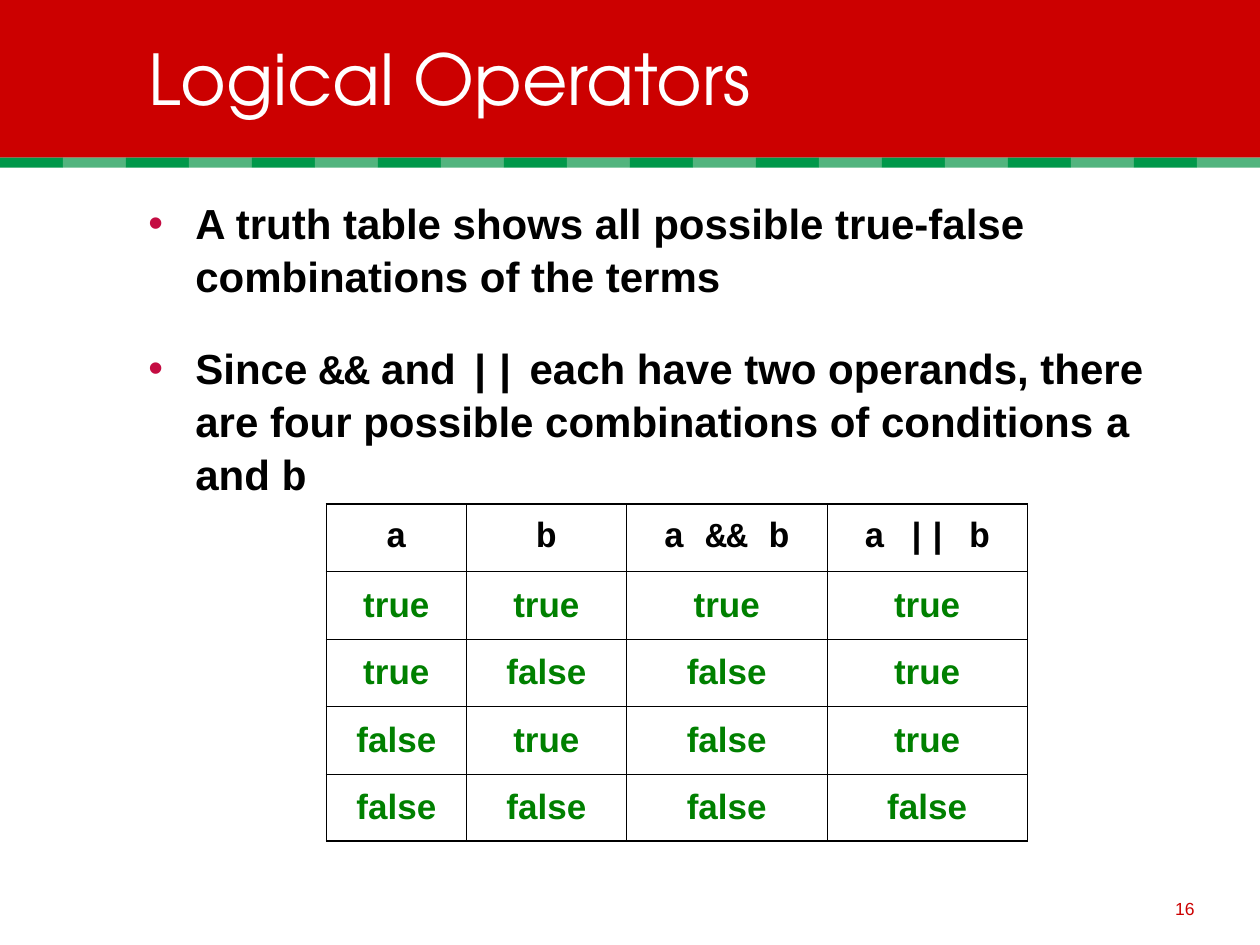
import dataclasses

import lxml.etree
import pptx
import pptx.dml.color
import pptx.enum.shapes
import pptx.enum.text
import pptx.oxml.ns
import pptx.util

Cm = pptx.util.Cm
Pt = pptx.util.Pt
Align = pptx.enum.text.PP_ALIGN
Anchor = pptx.enum.text.MSO_ANCHOR


@dataclasses.dataclass(frozen=True)
class Theme:
    banner: str = "CC0000"
    stripes: tuple = ("00984A", "52B47E")
    heading: str = "FFFFFF"
    ink: str = "000000"
    value: str = "008000"
    bullet: str = "C40C42"
    heading_font: str = "TeX Gyre Adventor"
    font: str = "Arial"
    code_font: str = "Courier New"
    heading_size: int = 40
    body_size: int = 24
    table_size: int = 20
    number_size: int = 10
    thick: float = 1.08
    thin: float = 0.45


THEME = Theme()

POINTS = [
    [("A truth table shows all possible true-false combinations of the terms", THEME.font)],
    [
        ("Since ", THEME.font),
        ("&&", THEME.code_font),
        (" and ", THEME.font),
        ("||", THEME.code_font),
        (" each have two operands, there are four possible combinations of conditions ", THEME.font),
        ("a", THEME.code_font),
        (" and ", THEME.font),
        ("b", THEME.code_font),
    ],
]

TRUTH_TABLE = [
    ["a", "b", "a && b", "a || b"],
    ["true", "true", "true", "true"],
    ["true", "false", "false", "true"],
    ["false", "true", "false", "true"],
    ["false", "false", "false", "false"],
]
COLUMN_WIDTHS = [2.82, 3.23, 4.04, 4.04]
ROW_HEIGHT = 1.36
VERTICAL_RULES = [THEME.thick, THEME.thin, THEME.thick, THEME.thin, THEME.thick]
HORIZONTAL_RULES = [THEME.thick, THEME.thick, THEME.thin, THEME.thin, THEME.thin, THEME.thick]


def rgb(color):
    return pptx.dml.color.RGBColor.from_string(color)


def add_xml(parent, tag, **attributes):
    return lxml.etree.SubElement(parent, pptx.oxml.ns.qn(tag), **attributes)


def write(paragraph, text, *, size, color, font=THEME.font, bold=False, align=Align.LEFT):
    paragraph.alignment = align
    run = paragraph.add_run()
    run.text = text
    run.font.name = font
    run.font.size = Pt(size)
    run.font.bold = bold
    run.font.color.rgb = rgb(color)


def add_frame(slide, left, top, width, height, anchor=Anchor.TOP):
    frame = slide.shapes.add_textbox(Cm(left), Cm(top), Cm(width), Cm(height)).text_frame
    frame.word_wrap = True
    frame.vertical_anchor = anchor
    return frame


def add_block(slide, left, top, width, height, color):
    block = slide.shapes.add_shape(
        pptx.enum.shapes.MSO_SHAPE.RECTANGLE, Cm(left), Cm(top), Cm(width), Cm(height)
    )
    block.shadow.inherit = False
    block.fill.solid()
    block.fill.fore_color.rgb = rgb(color)
    block.line.fill.background()


def add_banner(slide):
    add_block(slide, 0, 0, 25.4, 3.18, THEME.banner)
    stripe_width = 1.27
    for index in range(20):
        add_block(slide, index * stripe_width, 3.18, stripe_width, 0.2, THEME.stripes[index % 2])


def add_title(slide, text):
    title = slide.shapes.title
    title.left, title.top, title.width, title.height = Cm(2.74), Cm(0.61), Cm(22.02), Cm(1.91)
    frame = title.text_frame
    frame.auto_size = pptx.enum.text.MSO_AUTO_SIZE.NONE
    frame.vertical_anchor = Anchor.MIDDLE
    write(frame.paragraphs[0], text, size=THEME.heading_size, color=THEME.heading,
          font=THEME.heading_font)
    slide.shapes._spTree.append(title._element)


def set_bullet(paragraph):
    properties = paragraph._p.get_or_add_pPr()
    properties.set("marL", str(Cm(0.95)))
    properties.set("indent", str(-Cm(0.95)))
    add_xml(add_xml(properties, "a:buClr"), "a:srgbClr", val=THEME.bullet)
    add_xml(properties, "a:buFont", typeface=THEME.font)
    add_xml(properties, "a:buChar", char="•")


def add_points(slide, points):
    frame = add_frame(slide, 2.74, 3.81, 22.02, 6.35)
    for index, phrases in enumerate(points):
        paragraph = frame.add_paragraph() if index else frame.paragraphs[0]
        paragraph.space_before = Pt(22.5)
        paragraph.line_spacing = 1.05
        set_bullet(paragraph)
        for text, font in phrases:
            write(paragraph, text, size=THEME.body_size, color=THEME.ink, font=font, bold=True)


def set_borders(cell, row, column):
    widths = {
        "a:lnL": VERTICAL_RULES[column],
        "a:lnR": VERTICAL_RULES[column + 1],
        "a:lnT": HORIZONTAL_RULES[row],
        "a:lnB": HORIZONTAL_RULES[row + 1],
    }
    properties = cell._tc.get_or_add_tcPr()
    for tag, width in widths.items():
        border = add_xml(properties, tag, w=str(Pt(width)))
        add_xml(add_xml(border, "a:solidFill"), "a:srgbClr", val=THEME.ink)


def add_truth_table(slide, rows):
    table = slide.shapes.add_table(
        len(rows), len(COLUMN_WIDTHS), Cm(6.58), Cm(10.16),
        Cm(sum(COLUMN_WIDTHS)), Cm(ROW_HEIGHT * len(rows)),
    ).table
    table.first_row = False
    table.horz_banding = False
    for column, width in zip(table.columns, COLUMN_WIDTHS):
        column.width = Cm(width)
    for row, texts in enumerate(rows):
        table.rows[row].height = Cm(ROW_HEIGHT)
        header = row == 0
        for column, text in enumerate(texts):
            cell = table.cell(row, column)
            cell.vertical_anchor = Anchor.MIDDLE
            set_borders(cell, row, column)
            cell.fill.background()
            paragraph = cell.text_frame.paragraphs[0]
            paragraph.space_before = Pt(5)
            write(paragraph, text, size=THEME.table_size, bold=True, align=Align.CENTER,
                  color=THEME.ink if header else THEME.value,
                  font=THEME.code_font if header else THEME.font)


def add_slide_number(slide, number):
    frame = add_frame(slide, 19.05, 17.58, 5.28, 1.07, Anchor.BOTTOM)
    write(frame.paragraphs[0], number, size=THEME.number_size, color=THEME.banner,
          align=Align.RIGHT)


def main():
    deck = pptx.Presentation()
    deck.slide_width, deck.slide_height = Cm(25.4), Cm(19.05)
    slide = deck.slides.add_slide(deck.slide_layouts.get_by_name("Title Only"))
    add_banner(slide)
    add_title(slide, "Logical Operators")
    add_points(slide, POINTS)
    add_truth_table(slide, TRUTH_TABLE)
    add_slide_number(slide, "16")
    deck.save("out.pptx")


if __name__ == "__main__":
    main()
